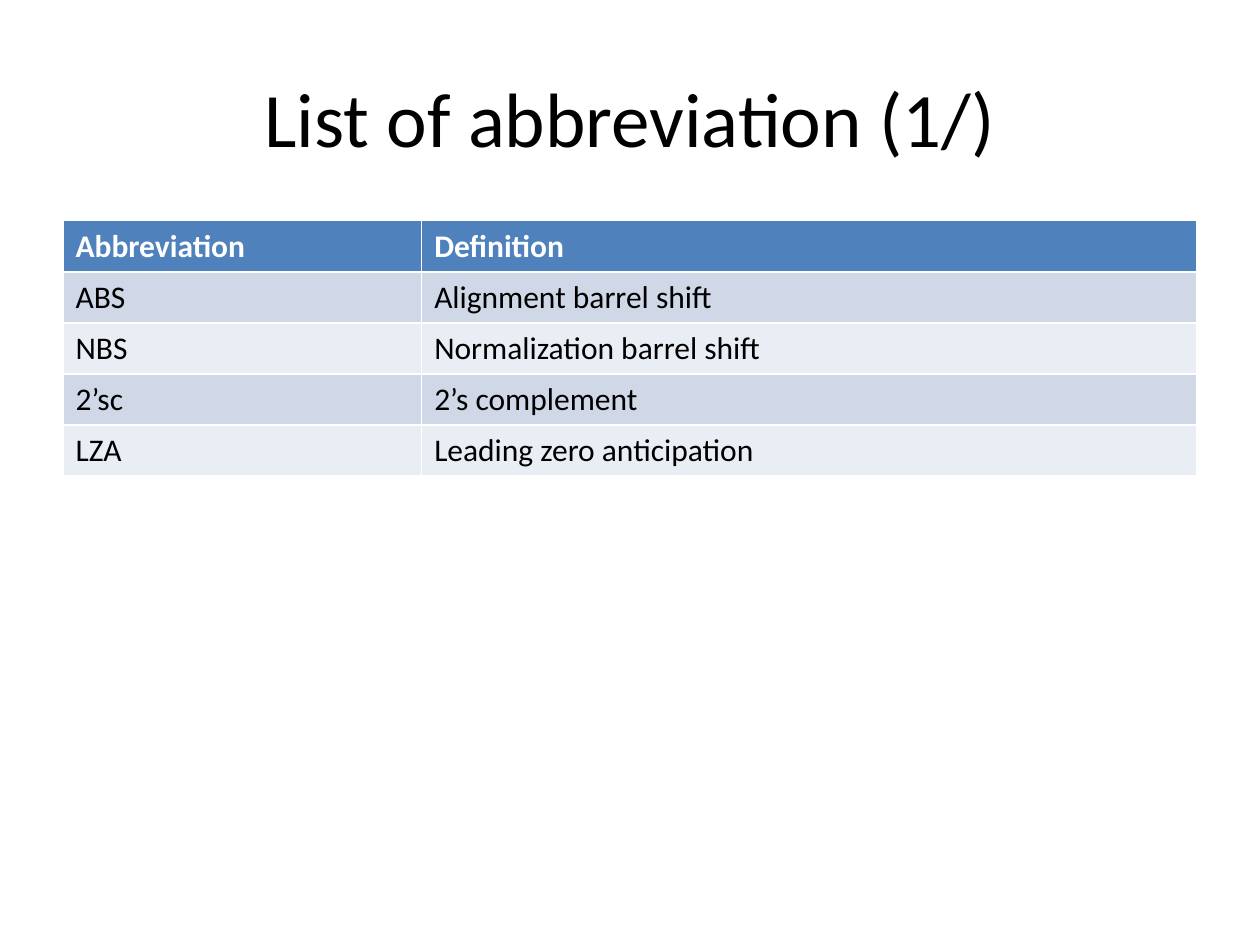
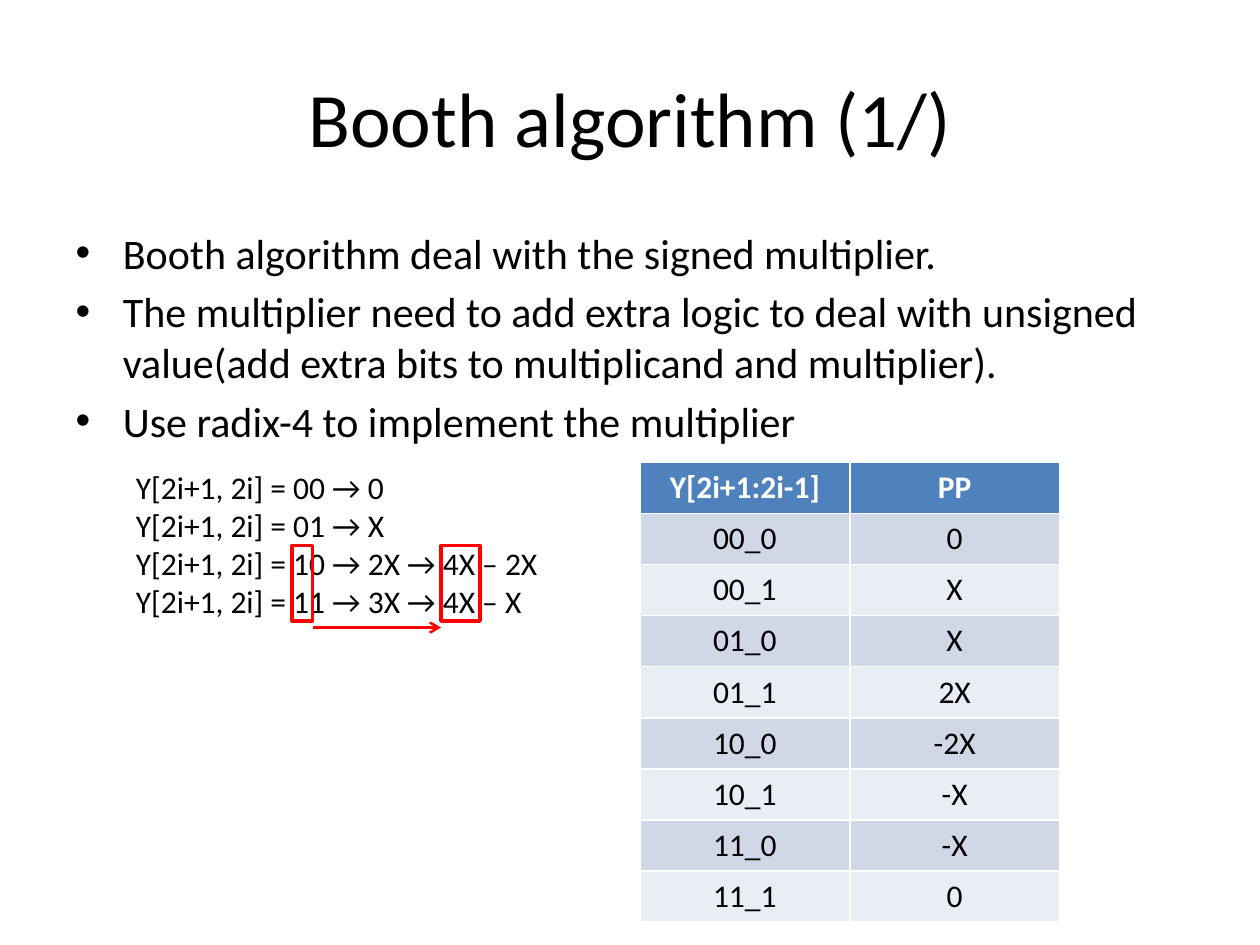
from dataclasses import dataclass

from lxml import etree
from pptx import Presentation
from pptx import util as u
from pptx.dml import color
from pptx.enum import shapes, text
from pptx.oxml import ns


@dataclass(frozen=True)
class Theme:
    font: str = "Calibri"
    black: str = "000000"
    white: str = "FFFFFF"
    header: str = "4F81BD"
    bands: tuple = ("D0D8E8", "E9EDF4")
    mark: str = "FF0000"
    title_size: int = 44
    list_size: int = 24
    small_size: int = 18


@dataclass(frozen=True)
class Box:
    left: float
    top: float
    width: float
    height: float

    def lengths(self):
        return [u.Cm(value) for value in (self.left, self.top, self.width, self.height)]


THEME = Theme()
TITLE_BOX = Box(1.27, 0.76, 22.86, 3.18)
BODY_BOX = Box(1.27, 4.45, 22.86, 12.57)
ROW_HEIGHT = 1.03
TITLE_AND_CONTENT, TITLE_ONLY = 1, 5
LEFT, CENTER = text.PP_ALIGN.LEFT, text.PP_ALIGN.CENTER

ABBREVIATIONS = [
    ("Abbreviation", "Definition"),
    ("ABS", "Alignment barrel shift"),
    ("NBS", "Normalization barrel shift"),
    ("2’sc", "2’s complement"),
    ("LZA", "Leading zero anticipation"),
]
BOOTH_POINTS = [
    "Booth algorithm deal with the signed multiplier.",
    "The multiplier need to add extra logic to deal with unsigned "
    "value(add extra bits to multiplicand and multiplier).",
    "Use radix-4 to implement the multiplier",
]
RECODING_STEPS = ["00 → 0", "01 → X", "10 → 2X → 4X – 2X", "11 → 3X → 4X – X"]
PARTIAL_PRODUCTS = [
    ("Y[2i+1:2i-1]", "PP"),
    ("00_0", "0"),
    ("00_1", "X"),
    ("01_0", "X"),
    ("01_1", "2X"),
    ("10_0", "-2X"),
    ("10_1", "-X"),
    ("11_0", "-X"),
    ("11_1", "0"),
]


def rgb(value):
    return color.RGBColor.from_string(value)


def write_lines(frame, lines, size, align=LEFT, ink=THEME.black, bold=False):
    for index, line in enumerate(lines):
        paragraph = frame.add_paragraph() if index else frame.paragraphs[0]
        paragraph.alignment = align
        if index == 0:
            paragraph.space_before = u.Pt(0)
        run = paragraph.add_run()
        run.text = line
        run.font.name = THEME.font
        run.font.size = u.Pt(size)
        run.font.bold = bold
        run.font.color.rgb = rgb(ink)


def fill_placeholder(placeholder, box, lines, size, align, anchor):
    placeholder.left, placeholder.top, placeholder.width, placeholder.height = box.lengths()
    placeholder.text_frame.vertical_anchor = anchor
    write_lines(placeholder.text_frame, lines, size, align)


def add_titled_slide(presentation, layout, title):
    slide = presentation.slides.add_slide(presentation.slide_layouts[layout])
    fill_placeholder(slide.shapes.title, TITLE_BOX, [title], THEME.title_size,
                     CENTER, text.MSO_ANCHOR.MIDDLE)
    return slide


def add_banded_table(slide, left, top, column_widths, rows, align=LEFT):
    box = Box(left, top, sum(column_widths), ROW_HEIGHT * len(rows))
    table = slide.shapes.add_table(len(rows), len(column_widths), *box.lengths()).table
    for column, width in zip(table.columns, column_widths):
        column.width = u.Cm(width)
    for row_index, values in enumerate(rows):
        is_header = row_index == 0
        background = THEME.header if is_header else THEME.bands[(row_index - 1) % 2]
        ink = THEME.white if is_header else THEME.black
        table.rows[row_index].height = u.Cm(ROW_HEIGHT)
        for column_index, value in enumerate(values):
            cell = table.cell(row_index, column_index)
            cell.fill.solid()
            cell.fill.fore_color.rgb = rgb(background)
            write_lines(cell.text_frame, [value], THEME.small_size, align, ink, is_header)


def add_mark(slide, box):
    mark = slide.shapes.add_shape(shapes.MSO_SHAPE.RECTANGLE, *box.lengths())
    mark.shadow.inherit = False
    mark.fill.background()
    mark.line.color.rgb = rgb(THEME.mark)
    mark.line.width = u.Pt(2)


def add_arrow(slide, start, end, height):
    arrow = slide.shapes.add_connector(
        shapes.MSO_CONNECTOR.STRAIGHT, u.Cm(start), u.Cm(height), u.Cm(end), u.Cm(height))
    arrow.line.color.rgb = rgb(THEME.mark)
    arrow.line.width = u.Pt(1.5)
    etree.SubElement(arrow.line._get_or_add_ln(), ns.qn("a:tailEnd"), type="arrow")
    etree.SubElement(arrow._element.spPr, ns.qn("a:effectLst"))


def add_recoding(slide, box):
    steps = slide.shapes.add_textbox(*box.lengths())
    steps.text_frame.word_wrap = True
    steps.text_frame.auto_size = text.MSO_AUTO_SIZE.SHAPE_TO_FIT_TEXT
    write_lines(steps.text_frame, [f"Y[2i+1, 2i] = {step}" for step in RECODING_STEPS],
                THEME.small_size)
    mark_top = box.top + 1.68
    high_bit = Box(box.left + 3.4, mark_top, 0.41, 1.52)
    carried_term = Box(box.left + 6.4, mark_top, 0.79, 1.52)
    add_mark(slide, high_bit)
    add_mark(slide, carried_term)
    add_arrow(slide, high_bit.left + high_bit.width, carried_term.left, box.top + box.height)


def add_abbreviation_slide(presentation):
    slide = add_titled_slide(presentation, TITLE_ONLY, "List of abbreviation (1/)")
    add_banded_table(slide, BODY_BOX.left, BODY_BOX.top, (7.23, 15.63), ABBREVIATIONS)


def add_booth_slide(presentation):
    slide = add_titled_slide(presentation, TITLE_AND_CONTENT, "Booth algorithm (1/)")
    fill_placeholder(slide.placeholders[1], BODY_BOX, BOOTH_POINTS, THEME.list_size,
                     LEFT, text.MSO_ANCHOR.TOP)
    recoding_box = Box(2.49, 9.32, 11.4, 3.33)
    add_recoding(slide, recoding_box)
    add_banded_table(slide, 12.9, recoding_box.top, (4.23, 4.23), PARTIAL_PRODUCTS, CENTER)


def main():
    presentation = Presentation()
    presentation.slide_width, presentation.slide_height = u.Cm(25.4), u.Cm(19.05)
    add_abbreviation_slide(presentation)
    add_booth_slide(presentation)
    presentation.save("out.pptx")


if __name__ == "__main__":
    main()
